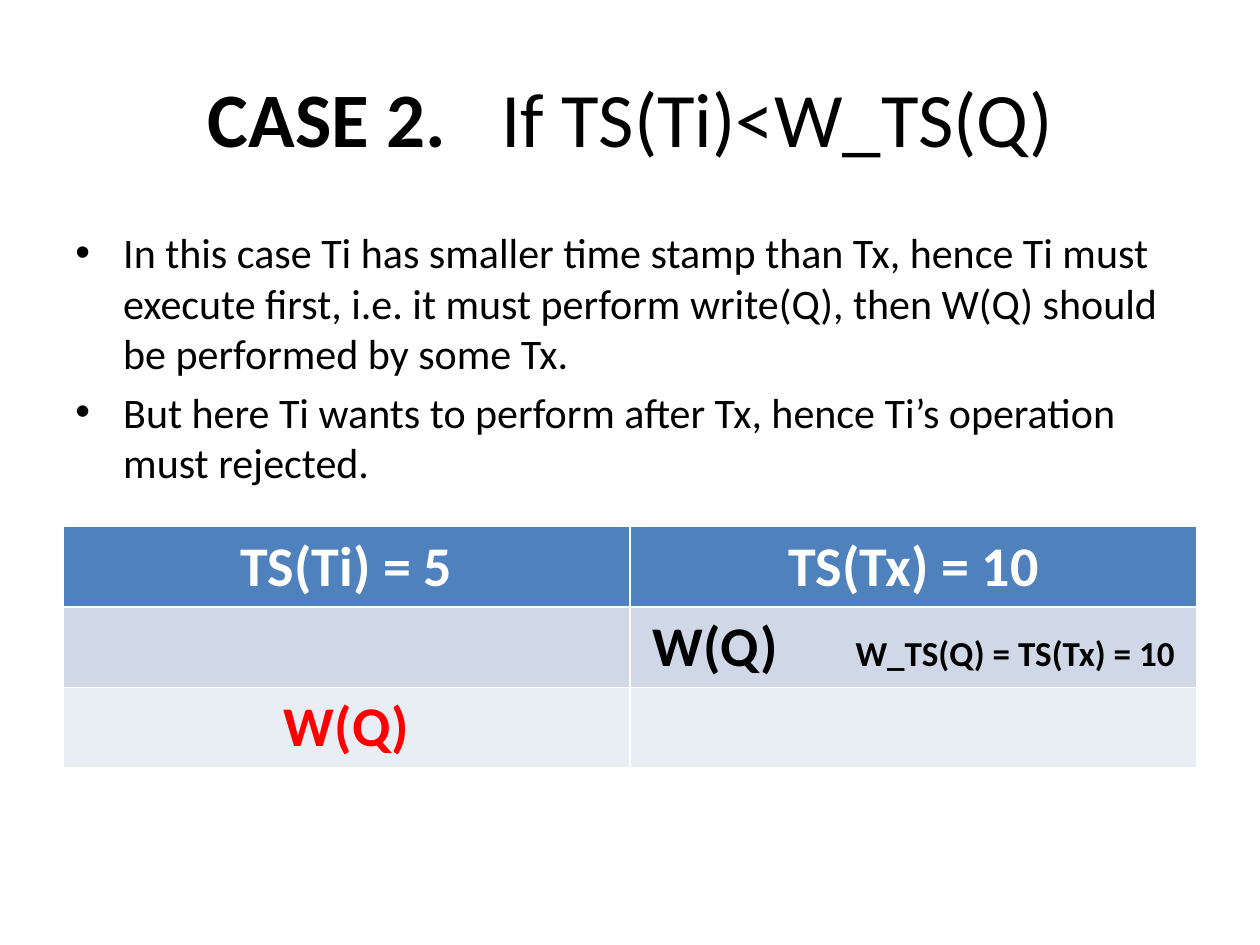
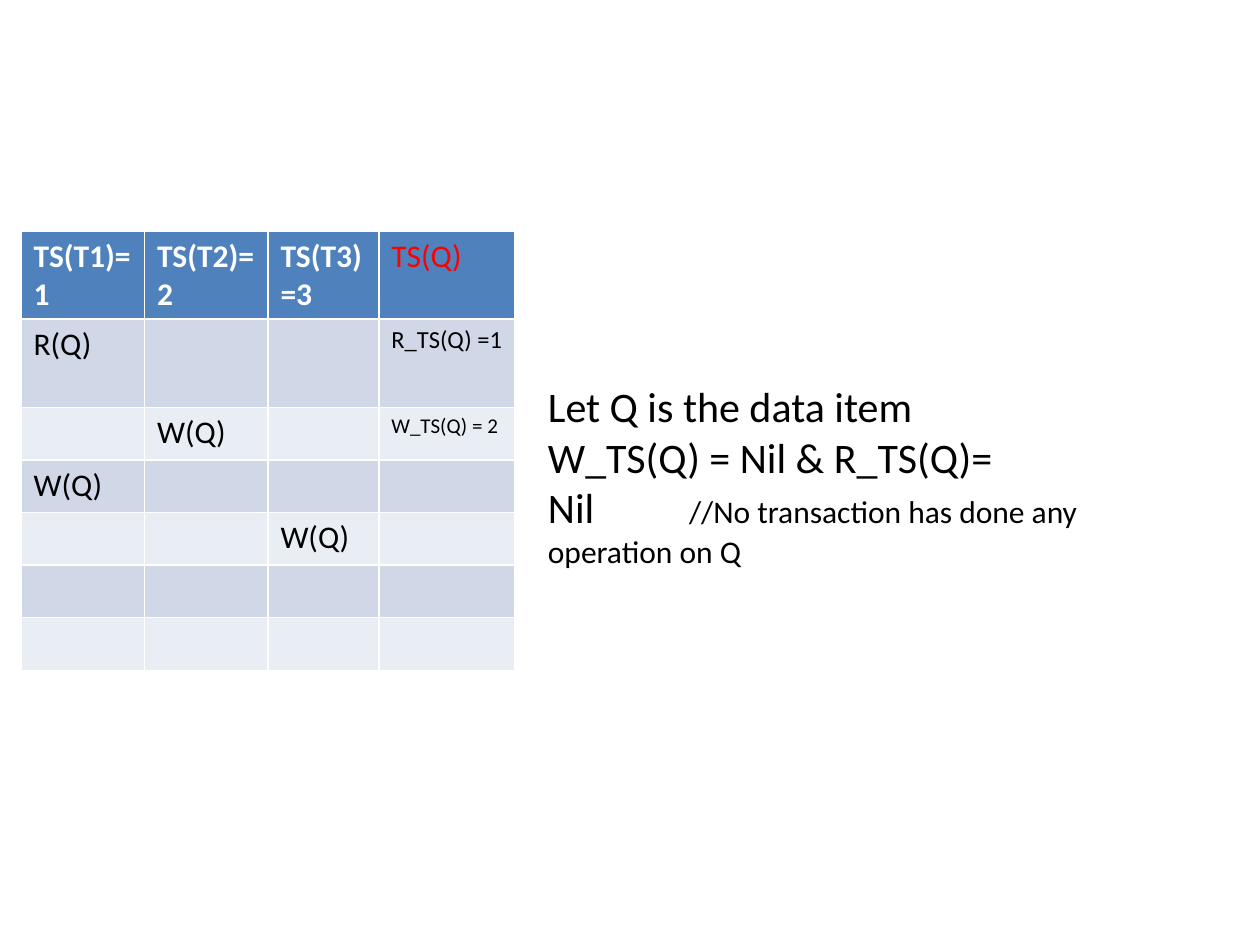
import pptx
import pptx.dml.color
import pptx.enum.text
import pptx.oxml
import pptx.oxml.ns
import pptx.util
from lxml import etree

Inches, Pt = pptx.util.Inches, pptx.util.Pt
RGB = pptx.dml.color.RGBColor
PP_ALIGN = pptx.enum.text.PP_ALIGN
MIDDLE = pptx.enum.text.MSO_ANCHOR.MIDDLE

# Shared look
FONT = "Calibri"
BLACK = RGB(0x00, 0x00, 0x00)
WHITE = RGB(0xFF, 0xFF, 0xFF)
RED = RGB(0xFF, 0x00, 0x00)
HEADER = RGB(0x4F, 0x81, 0xBD)
BANDS = [RGB(0xE9, 0xED, 0xF4), RGB(0xD0, 0xD8, 0xE8)]

deck = pptx.Presentation()
deck.slide_width, deck.slide_height = Inches(10), Inches(7.5)
COL = deck.slide_width // 20
ROW = deck.slide_height // 30
blank = deck.slide_layouts[6]


def style(run, size, color=BLACK, bold=False):
    run.font.name = FONT
    run.font.size = Pt(size)
    run.font.color.rgb = color
    run.font.bold = bold


def add_child(paragraph, tag, **attributes):
    """Append a bullet or tab list to the paragraph properties."""
    properties = paragraph._p.get_or_add_pPr()
    child = etree.SubElement(properties, pptx.oxml.ns.qn(tag))
    if tag == "a:tabLst":
        child = etree.SubElement(child, pptx.oxml.ns.qn("a:tab"))
    for key, value in attributes.items():
        child.set(key, str(value))


# Slide 1: heading
case_slide = deck.slides.add_slide(blank)
heading = case_slide.shapes.add_textbox(COL, 1.2 * ROW, 18 * COL, 5 * ROW).text_frame
heading.word_wrap = True
heading.vertical_anchor = MIDDLE
heading.margin_left = Inches(1.15)
heading_line = heading.paragraphs[0]
add_child(heading_line, "a:tabLst", pos=Inches(2.33), algn="l")
heading_line.text = "CASE 2.\t"
heading_line.add_run().text = "If TS(Ti)<W_TS(Q)"
for run, bold in zip(heading_line.runs, (True, False)):
    style(run, 44, bold=bold)

# Slide 1: explanation
reasons = [
    "In this case Ti has smaller time stamp than Tx, hence Ti must execute first, "
    "i.e. it must perform write(Q), then W(Q) should be performed by some Tx.",
    "But here Ti wants to perform after Tx, hence Ti’s operation must rejected.",
]
explanation = case_slide.shapes.add_textbox(COL, 7 * ROW, 18 * COL, 19.8 * ROW).text_frame
explanation.word_wrap = True
for index, reason in enumerate(reasons):
    point = explanation.add_paragraph() if index else explanation.paragraphs[0]
    point.text = reason
    if index:
        point.space_before = Pt(4.8)
    properties = point._p.get_or_add_pPr()
    properties.set("marL", str(Inches(0.38)))
    properties.set("indent", str(-Inches(0.38)))
    add_child(point, "a:buFont", typeface="Arial")
    add_child(point, "a:buChar", char="•")
    style(point.runs[0], 24)

# Slide 2: remark beside the schedule
schedule_slide = deck.slides.add_slide(blank)
remark = schedule_slide.shapes.add_textbox(8.5 * COL, 1.3 * ROW, 10.5 * COL, 27.3 * ROW).text_frame
remark.word_wrap = True
remark.vertical_anchor = MIDDLE
remark.margin_top = Inches(0.12)
remark.margin_right = Inches(0.5)
remark_text = remark.paragraphs[0]
add_child(remark_text, "a:tabLst", pos=Inches(1.12), algn="l")
remark_text.text = "Let Q is the data item\vW_TS(Q) = Nil & R_TS(Q)=\vNil\t"
for run in remark_text.runs:
    style(run, 24)
comment = remark_text.add_run()
comment.text = "//No transaction has done any operation on Q"
style(comment, 18)

# Tables: slide, left, top, column widths, row heights, text size, alignment, rows
tables = [
    (case_slide, COL, 16.72 * ROW, [9 * COL] * 2, [2.55 * ROW] * 3, 32, PP_ALIGN.CENTER, [
        ["TS(Ti) = 5", "TS(Tx) = 10"],
        ["", "W(Q)\t"],
        ["W(Q)", ""],
    ]),
    (schedule_slide, COL / 3, 7.33 * ROW, [1.96 * COL, 1.96 * COL, 1.76 * COL, 2.16 * COL],
     [2.8 * ROW] * 2 + [1.67 * ROW] * 5, 18, PP_ALIGN.LEFT, [
        ["TS(T1)=1", "TS(T2)=2", "TS(T3)=3", "TS(Q)"],
        ["R(Q)", "", "", "R_TS(Q) =1"],
        ["", "W(Q)", "", "W_TS(Q) = 2"],
        ["W(Q)", "", "", ""],
        ["", "", "W(Q)", ""],
        [""] * 4,
        [""] * 4,
    ]),
]
grids = []
for slide, left, top, widths, heights, size, alignment, rows in tables:
    frame = slide.shapes.add_table(
        len(rows), len(widths), int(left), int(top), int(sum(widths)), int(sum(heights)))
    grid = frame.table
    grids.append(grid)
    for column, width in zip(grid.columns, widths):
        column.width = int(width)
    for r, row in enumerate(rows):
        grid.rows[r].height = int(heights[r])
        for c, words in enumerate(row):
            cell = grid.cell(r, c)
            cell.fill.solid()
            cell.fill.fore_color.rgb = BANDS[r % 2] if r else HEADER
            if words:
                entry = cell.text_frame.paragraphs[0]
                entry.text = words
                entry.alignment = alignment
                style(entry.runs[0], size, BLACK if r else WHITE, r == 0 or slide is case_slide)

# Slide 1: write by Tx with its time stamp, and the rejected write
conflict, schedule = grids
write_cell = conflict.cell(1, 1)
write_cell.margin_left, write_cell.margin_right = Inches(0.18), 0
write_line = write_cell.text_frame.paragraphs[0]
write_line.alignment = PP_ALIGN.LEFT
add_child(write_line, "a:tabLst", pos=Inches(1.61), algn="l")
stamp = write_line.add_run()
stamp.text = "W_TS(Q) = TS(Tx) = 10"
style(stamp, 20, bold=True)
style(conflict.cell(2, 0).text_frame.paragraphs[0].runs[0], 32, RED, True)

# Slide 2: time stamps of Q in the last column
for r, size, color in [(0, 18, RED), (1, 14, BLACK), (2, 12, BLACK)]:
    style(schedule.cell(r, 3).text_frame.paragraphs[0].runs[0], size, color)

deck.save("out.pptx")
